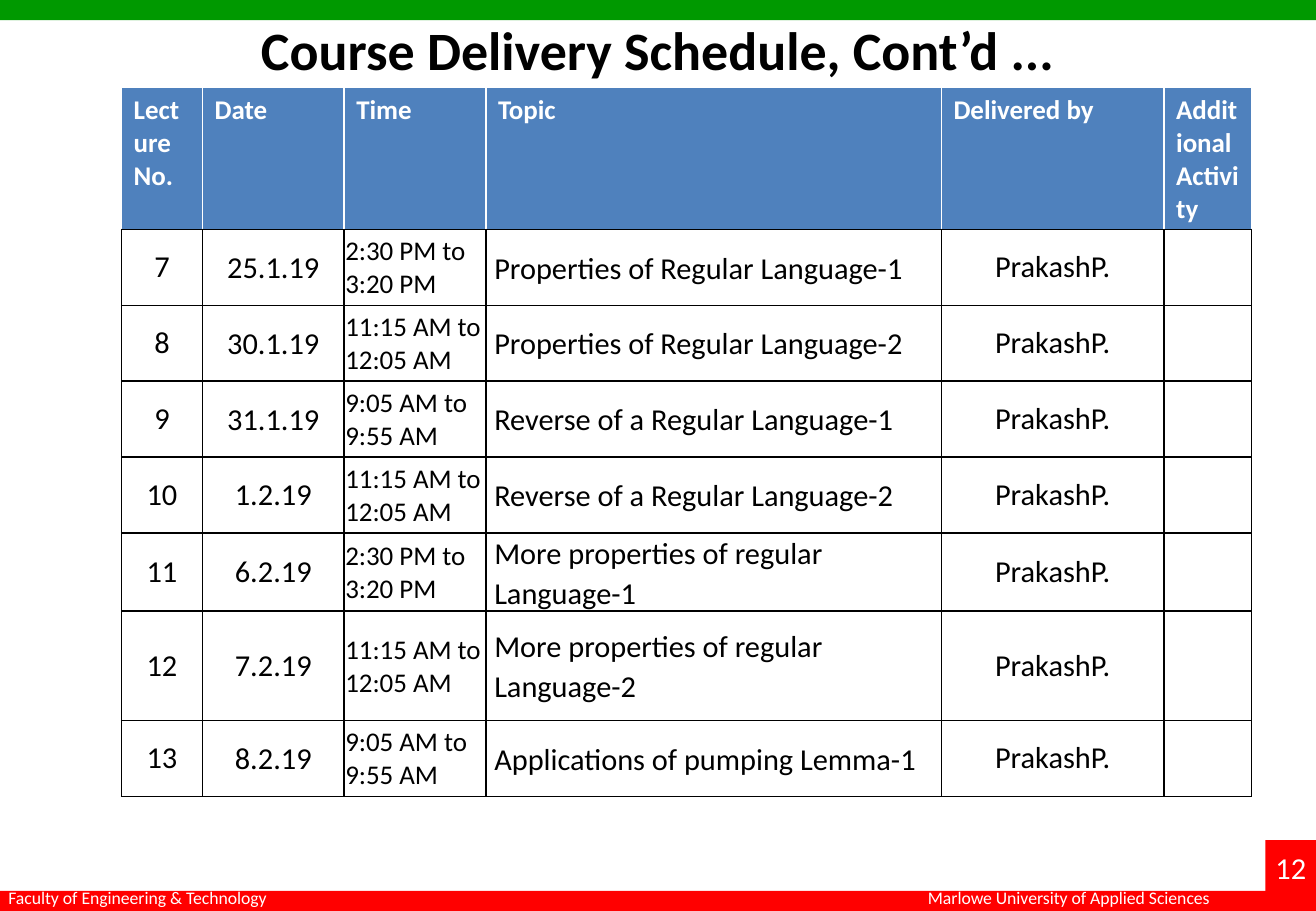
from dataclasses import dataclass
from typing import NamedTuple, Optional

from lxml.etree import SubElement
from pptx import Presentation
from pptx.dml.color import RGBColor as Color
from pptx.enum.shapes import MSO_SHAPE as Preset
from pptx.enum.text import MSO_ANCHOR as Anchor, PP_ALIGN as Align
from pptx.oxml.ns import qn
from pptx.util import Pt


@dataclass(frozen=True)
class Theme:
    font: str = "Calibri"
    black: str = "000000"
    white: str = "FFFFFF"
    green: str = "009900"
    red: str = "FF0000"
    blue: str = "4F81BD"
    title: float = 32
    body: float = 18
    small: float = 16
    footer: float = 10.5


class Box(NamedTuple):
    left: float
    top: float
    width: float
    height: float


class Bar(NamedTuple):
    box: Box
    fill: str


class Caption(NamedTuple):
    text: str
    box: Box
    size: float


class Margins(NamedTuple):
    left: float = 7.2
    top: float = 3.6
    right: float = 7.2
    bottom: float = 3.6


class Column(NamedTuple):
    heading: str
    width: float
    size: float
    align: Align
    margins: Margins = Margins()
    spacing: Optional[float] = None


class Lecture(NamedTuple):
    number: str
    date: str
    time: str
    topic: str
    lecturer: str = "PrakashP."
    activity: str = ""


THEME = Theme()
WIDTH, HEIGHT = 780, 540
BAR_HEIGHT = 12

BARS = [
    Bar(Box(0, 0, WIDTH, BAR_HEIGHT), THEME.green),
    Bar(Box(0, HEIGHT - BAR_HEIGHT, WIDTH, BAR_HEIGHT), THEME.red),
    Bar(Box(750, 498, 30, 42), THEME.red),
]
CAPTIONS = [
    Caption("Marlowe University of Applied Sciences", Box(550, 524, 190, 16), THEME.footer),
    Caption("12", Box(756, 502, 24, 24), THEME.body),
    Caption("Faculty of Engineering & Technology", Box(5, 524, 180, 16), THEME.footer),
]

TIGHT = Margins(0.7, 0.7, 0.7, 0)
COLUMNS = [
    Column("Lecture No.", 48, THEME.body, Align.CENTER),
    Column("Date", 84, THEME.body, Align.CENTER, TIGHT),
    Column("Time", 84, THEME.small, Align.LEFT, TIGHT),
    Column("Topic", 270, THEME.body, Align.LEFT, Margins(5, 0, 5, 0), 1.07),
    Column("Delivered by", 132, THEME.body, Align.CENTER),
    Column("Additional Activity", 52, THEME.body, Align.CENTER),
]
AFTERNOON = "2:30 PM to 3:20 PM"
NOON = "11:15 AM to 12:05 AM"
MORNING = "9:05 AM to 9:55 AM"
LECTURES = [
    Lecture("7", "25.1.19", AFTERNOON, "Properties of Regular Language-1"),
    Lecture("8", "30.1.19", NOON, "Properties of Regular Language-2"),
    Lecture("9", "31.1.19", MORNING, "Reverse of a Regular Language-1"),
    Lecture("10", "1.2.19", NOON, "Reverse of a Regular Language-2"),
    Lecture("11", "6.2.19", AFTERNOON, "More properties of regular Language-1"),
    Lecture("12", "7.2.19", NOON, "More properties of regular Language-2"),
    Lecture("13", "8.2.19", MORNING, "Applications of pumping Lemma-1"),
]
ROW_HEIGHTS = [66, 45, 45, 45, 45, 45, 65, 45]


def format_text(text_frame, size: float, color: str, bold: bool = False,
                align: Align = Align.LEFT, spacing: Optional[float] = None) -> None:
    for paragraph in text_frame.paragraphs:
        paragraph.alignment = align
        if spacing:
            paragraph.line_spacing = spacing
        for run in paragraph.runs:
            run.font.name = THEME.font
            run.font.size = Pt(size)
            run.font.bold = bold
            run.font.color.rgb = Color.from_string(color)


def set_margins(target, margins: Margins) -> None:
    target.margin_left, target.margin_top = Pt(margins.left), Pt(margins.top)
    target.margin_right, target.margin_bottom = Pt(margins.right), Pt(margins.bottom)


def set_borders(cell, sides: str, bottom: str) -> None:
    properties = cell._tc.get_or_add_tcPr()
    colors = {"a:lnL": sides, "a:lnR": sides, "a:lnT": sides, "a:lnB": bottom}
    for index, (tag, color) in enumerate(colors.items()):
        line = SubElement(properties, qn(tag), w=str(Pt(1)))
        fill = SubElement(line, qn("a:solidFill"))
        SubElement(fill, qn("a:srgbClr"), val=color)
        properties.insert(index, line)


def draw_bar(slide, bar: Bar) -> None:
    shape = slide.shapes.add_shape(Preset.RECTANGLE, *map(Pt, bar.box))
    shape.shadow.inherit = False
    shape.fill.solid()
    shape.fill.fore_color.rgb = Color.from_string(bar.fill)
    shape.line.fill.background()


def draw_caption(slide, caption: Caption) -> None:
    text_frame = slide.shapes.add_textbox(*map(Pt, caption.box)).text_frame
    text_frame.word_wrap = True
    set_margins(text_frame, Margins(0, 0, 0, 0))
    text_frame.vertical_anchor = Anchor.MIDDLE
    text_frame.text = caption.text
    format_text(text_frame, caption.size, THEME.white)


def draw_title(slide, text: str, box: Box) -> None:
    title = slide.shapes.title
    title.left, title.top, title.width, title.height = map(Pt, box)
    text_frame = title.text_frame
    text_frame.word_wrap = True
    text_frame.vertical_anchor = Anchor.TOP
    text_frame.text = text
    format_text(text_frame, THEME.title, THEME.black, True, Align.CENTER)


def fill_cell(cell, text: str, column: Column, header: bool) -> None:
    cell.text = text
    cell.fill.solid()
    cell.fill.fore_color.rgb = Color.from_string(THEME.blue if header else THEME.white)
    set_borders(cell, THEME.white if header else THEME.black, THEME.black)
    if header:
        format_text(cell.text_frame, THEME.small, THEME.white, True)
    else:
        cell.vertical_anchor = Anchor.MIDDLE
        set_margins(cell, column.margins)
        format_text(cell.text_frame, column.size, THEME.black,
                    align=column.align, spacing=column.spacing)


def draw_schedule(slide, left: float, top: float) -> None:
    box = Box(left, top, sum(column.width for column in COLUMNS), sum(ROW_HEIGHTS))
    table = slide.shapes.add_table(len(ROW_HEIGHTS), len(COLUMNS), *map(Pt, box)).table
    for row, height in zip(table.rows, ROW_HEIGHTS):
        row.height = Pt(height)
    rows = [[column.heading for column in COLUMNS], *LECTURES]
    for column_index, column in enumerate(COLUMNS):
        table.columns[column_index].width = Pt(column.width)
        for row_index, texts in enumerate(rows):
            fill_cell(table.cell(row_index, column_index), texts[column_index],
                      column, row_index == 0)


presentation = Presentation()
presentation.slide_width, presentation.slide_height = Pt(WIDTH), Pt(HEIGHT)
slide = presentation.slides.add_slide(presentation.slide_layouts[5])

# Bars and footer
for bar in BARS:
    draw_bar(slide, bar)
for caption in CAPTIONS:
    draw_caption(slide, caption)

# Title and schedule
draw_title(slide, "Course Delivery Schedule, Cont’d ...", Box(39, 6, 702, 45))
draw_schedule(slide, 72, 52)

presentation.save("out.pptx")
